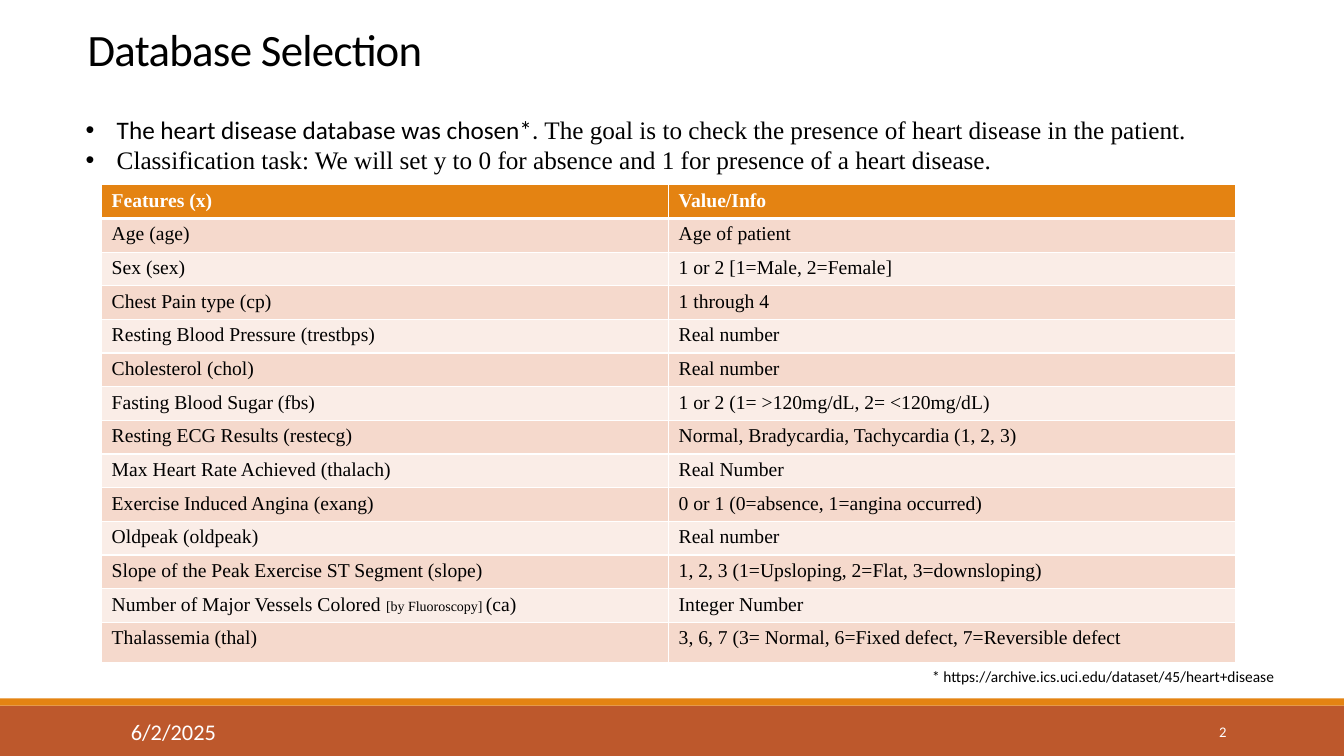
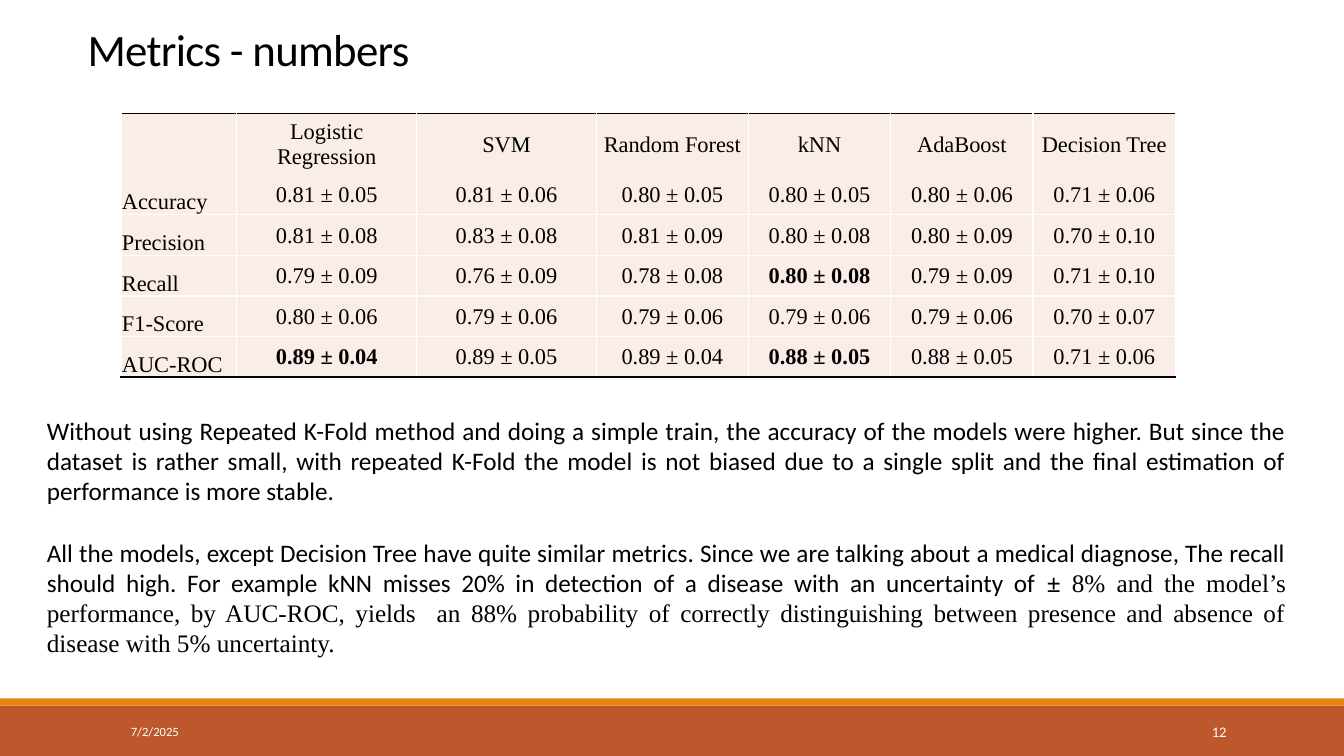
from pptx import Presentation
from pptx import util as u
from pptx.dml.color import RGBColor
from pptx.enum import shapes, text
from pptx.oxml import ns, xmlchemy
from lxml import etree

# Palette and fonts
WHITE = RGBColor(0xFF, 0xFF, 0xFF)
BLACK = RGBColor(0x00, 0x00, 0x00)
RUST = RGBColor(0xBD, 0x58, 0x2C)
ORANGE = RGBColor(0xE4, 0x83, 0x12)
PEACH = RGBColor(0xF5, 0xD9, 0xCC)
BLUSH = RGBColor(0xFA, 0xED, 0xE7)
SANS, SERIF = "Calibri", "Times New Roman"

# Grid: 160 columns by 90 rows
COLUMNS, ROWS = 160, 90
NO_STYLE = "{2D5ABB26-0587-4C30-8999-92F81FD0307C}"
LEFT, CENTER, RIGHT, JUSTIFY = (text.PP_ALIGN.LEFT, text.PP_ALIGN.CENTER,
                                text.PP_ALIGN.RIGHT, text.PP_ALIGN.JUSTIFY)
TOP, MIDDLE, BOTTOM = (text.MSO_ANCHOR.TOP, text.MSO_ANCHOR.MIDDLE,
                       text.MSO_ANCHOR.BOTTOM)


def write(p, runs, align=LEFT, **fmt):
    """Fill a paragraph; runs is a string or a list of (string, format)."""
    p.alignment = align
    for words, changes in [(runs, {})] if isinstance(runs, str) else runs:
        style = dict(size=18, font=SANS, color=BLACK, bold=False, spacing=0)
        style.update(fmt)
        style.update(changes)
        r = p.add_run()
        r.text = words
        r.font.size = u.Pt(style["size"])
        r.font.name = style["font"]
        r.font.bold = style["bold"]
        r.font.color.rgb = style["color"]
        if style["spacing"]:
            r._r.get_or_add_rPr().set("spc", str(int(style["spacing"] * 100)))


def add_bullet(p):
    pPr = p._p.get_or_add_pPr()
    indent = u.Inches(0.31)
    pPr.set("marL", str(indent))
    pPr.set("indent", str(-indent))
    etree.SubElement(pPr, ns.qn("a:buFont")).set("typeface", "Arial")
    etree.SubElement(pPr, ns.qn("a:buChar")).set("char", "•")


def set_borders(cell, **edges):
    """Draw the named edges (L, R, T, B), each a (colour, points) pair."""
    tcPr = cell._tc.get_or_add_tcPr()
    for side in "LRTB":
        if side in edges:
            color, width = edges[side]
            ln = etree.SubElement(tcPr, ns.qn("a:ln" + side))
            ln.set("w", str(u.Pt(width)))
            fill = etree.SubElement(ln, ns.qn("a:solidFill"))
            etree.SubElement(fill, ns.qn("a:srgbClr")).set("val", str(color))


class Deck:
    def __init__(self):
        self.prs = Presentation()
        self.prs.slide_width = u.Inches(13.33)
        self.prs.slide_height = u.Inches(7.5)
        self.s = None

    def x(self, columns):
        return u.Emu(round(self.prs.slide_width * columns / COLUMNS))

    def y(self, rows):
        return u.Emu(round(self.prs.slide_height * rows / ROWS))

    def box(self, left, top, width, height):
        return self.x(left), self.y(top), self.x(width), self.y(height)

    def slide(self, title, date, number, date_size):
        """Start a slide with its bands, footer and title."""
        self.s = self.prs.slides.add_slide(self.prs.slide_layouts[6])
        self.band(84, 6, RUST)
        self.band(83.15, 0.85, ORANGE)
        self.text((14.4, 84.7, 32.4, 4.8), [date], anchor=MIDDLE,
                  size=date_size, color=WHITE)
        self.text((130, 84.7, 17.2, 4.8), [number], anchor=MIDDLE,
                  align=RIGHT, size=10.5, color=WHITE)
        tf = self.text((9.25, 2.15, 130.7, 7.45), [title], anchor=BOTTOM,
                       size=32, spacing=-0.5)
        tf.paragraphs[0].line_spacing = 0.85

    def band(self, top, height, color):
        sp = self.s.shapes.add_shape(shapes.MSO_SHAPE.RECTANGLE,
                                     *self.box(0, top, COLUMNS, height))
        sp.shadow.inherit = False
        sp.fill.solid()
        sp.fill.fore_color.rgb = color
        sp.line.fill.background()

    def text(self, place, paragraphs, anchor=TOP, bullets=False, gap=0, **fmt):
        tf = self.s.shapes.add_textbox(*self.box(*place)).text_frame
        tf.word_wrap = True
        tf.vertical_anchor = anchor
        for i, runs in enumerate(paragraphs):
            p = tf.add_paragraph() if i else tf.paragraphs[0]
            if i and gap:
                p.space_before = u.Pt(gap)
            write(p, runs, **fmt)
            if bullets:
                add_bullet(p)
        return tf

    def table(self, left, top, widths, heights, rows, style_cell):
        """Add a plain table; style_cell(cell, row, column, runs) fills it."""
        frame = self.s.shapes.add_table(
            len(heights), len(widths),
            *self.box(left, top, sum(widths), sum(heights)))
        table = frame.table
        table._tbl.tblPr.find(ns.qn("a:tableStyleId")).text = NO_STYLE
        table.first_row = table.horz_banding = False
        for column, width in zip(table.columns, widths):
            column.width = self.x(width)
        for row, height in zip(table.rows, heights):
            row.height = self.y(height)
        for i, row in enumerate(rows):
            for j, runs in enumerate(row):
                style_cell(table.cell(i, j), i, j, runs)


# Table looks
def feature_cell(cell, i, j, runs):
    thin, thick = (WHITE, 1), (WHITE, 3)
    set_borders(cell, L=thin, R=thin, T=thick if i == 1 else thin,
                B=thin if i else thick)
    cell.fill.solid()
    cell.fill.fore_color.rgb = (PEACH if i % 2 else BLUSH) if i else ORANGE
    write(cell.text_frame.paragraphs[0], runs, size=14, font=SERIF,
          bold=i == 0, color=BLACK if i else WHITE)


def metric_cell(cell, i, j, runs):
    last = len(METRICS) - 1
    edges = dict(L=(WHITE, 1), R=(WHITE, 1))
    if i != 1:
        edges["T"] = (WHITE if i else BLACK, 1)
    if i != 0:
        edges["B"] = (BLACK if i == last else WHITE, 1)
    set_borders(cell, **edges)
    cell.fill.solid()
    cell.fill.fore_color.rgb = BLUSH
    cell.margin_left = cell.margin_right = cell.margin_top = u.Inches(0.01)
    cell.margin_bottom = 0
    cell.vertical_anchor = MIDDLE if j else BOTTOM
    if runs:
        write(cell.text_frame.paragraphs[0], runs, size=16, font=SERIF,
              align=CENTER if j else LEFT, bold=(i, j) in BEST)


# Table contents
FEATURES = [
    ("Features (x)", "Value/Info"),
    ("Age (age)", "Age of patient"),
    ("Sex (sex)", "1 or 2 [1=Male, 2=Female]"),
    ("Chest Pain type (cp)", "1 through 4"),
    ("Resting Blood Pressure (trestbps)", "Real number"),
    ("Cholesterol (chol)", "Real number"),
    ("Fasting Blood Sugar (fbs)", "1 or 2 (1= >120mg/dL, 2= <120mg/dL)"),
    ("Resting ECG Results (restecg)",
     "Normal, Bradycardia, Tachycardia (1, 2, 3)"),
    ("Max Heart Rate Achieved (thalach)", "Real Number"),
    ("Exercise Induced Angina (exang)",
     "0 or 1 (0=absence, 1=angina occurred)"),
    ("Oldpeak (oldpeak)", "Real number"),
    ("Slope of the Peak Exercise ST Segment (slope)",
     "1, 2, 3 (1=Upsloping, 2=Flat, 3=downsloping)"),
    ([("Number of Major Vessels Colored ", {}),
      ("[by Fluoroscopy] ", {"size": 10}), ("(ca)", {})], "Integer Number"),
    ("Thalassemia (thal)",
     "3, 6, 7 (3= Normal, 6=Fixed defect, 7=Reversible defect"),
]
METRICS = [
    ("", "Logistic Regression", "SVM", "Random Forest", "kNN", "AdaBoost",
     "Decision Tree"),
    ("Accuracy", "0.81 ± 0.05", "0.81 ± 0.06", "0.80 ± 0.05", "0.80 ± 0.05",
     "0.80 ± 0.06", "0.71 ± 0.06"),
    ("Precision", "0.81 ± 0.08", "0.83 ± 0.08", "0.81 ± 0.09", "0.80 ± 0.08",
     "0.80 ± 0.09", "0.70 ± 0.10"),
    ("Recall", "0.79 ± 0.09", "0.76 ± 0.09", "0.78 ± 0.08", "0.80 ± 0.08",
     "0.79 ± 0.09", "0.71 ± 0.10"),
    ("F1-Score", "0.80 ± 0.06", "0.79 ± 0.06", "0.79 ± 0.06", "0.79 ± 0.06",
     "0.79 ± 0.06", "0.70 ± 0.07"),
    ("AUC-ROC", "0.89 ± 0.04", "0.89 ± 0.05", "0.89 ± 0.04", "0.88 ± 0.05",
     "0.88 ± 0.05", "0.71 ± 0.06"),
]
BEST = {(3, 4), (5, 1), (5, 4)}  # row and column of the bold values


def database_slide(deck):
    deck.slide("Database Selection", "6/2/2025", "2", date_size=16)
    deck.text((9, 13, 138.25, 12.1), [
        [("The heart disease database was chosen*. ", {}),
         ("The goal is to check the presence of heart disease in the "
          "patient.", {"font": SERIF})],
        [("Classification task: We will set y to 0 for absence and 1 for "
          "presence of a heart disease.", {"font": SERIF})],
    ], bullets=True)
    deck.text((109.8, 78.85, 45.6, 3.5),
              ["* https://archive.ics.uci.edu/dataset/45/heart+disease"],
              size=11)
    heights = [4] * (len(FEATURES) - 1) + [4.8]
    deck.table(12.1, 22, [67.5] * 2, heights, FEATURES, feature_cell)


def metrics_slide(deck):
    deck.slide("Metrics - numbers", "7/2/2025", "12", date_size=9)
    widths = [13.8] + [21.4] * 2 + [18.1] + [16.95] * 3
    heights = [7.2] + [4.83] * (len(METRICS) - 1)
    deck.table(14.4, 13.55, widths, heights, METRICS, metric_cell)
    deck.text((4.4, 48.85, 149.9, 30.25), [
        "Without using Repeated K-Fold method and doing a simple train, the "
        "accuracy of the models were higher. But since the dataset is rather "
        "small, with repeated K-Fold the model is not biased due to a single "
        "split and the final estimation of performance is more stable.",
        [("All the models, except Decision Tree have quite similar metrics. "
          "Since we are talking about a medical diagnose, The recall should "
          "high. For example kNN misses 20% in detection of a disease with "
          "an uncertainty of ", {}),
         ("± ", {"font": SERIF, "bold": True}),
         ("8% and the model’s performance, by AUC-ROC, yields  an 88% "
          "probability of correctly distinguishing between presence and "
          "absence of disease with 5% uncertainty.", {"font": SERIF})],
    ], align=JUSTIFY, gap=22)


def main():
    deck = Deck()
    database_slide(deck)
    metrics_slide(deck)
    deck.prs.save("out.pptx")


if __name__ == "__main__":
    main()
